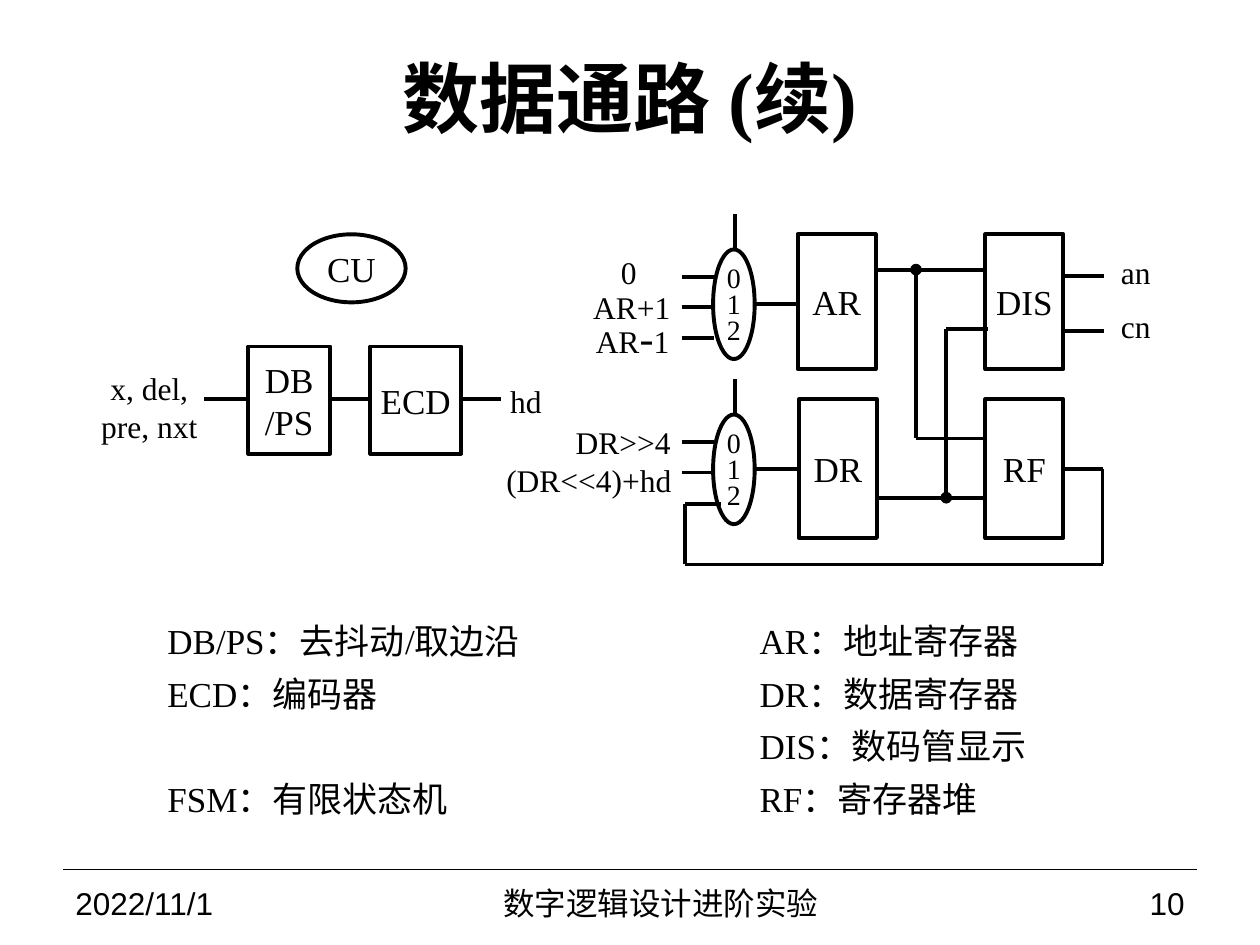
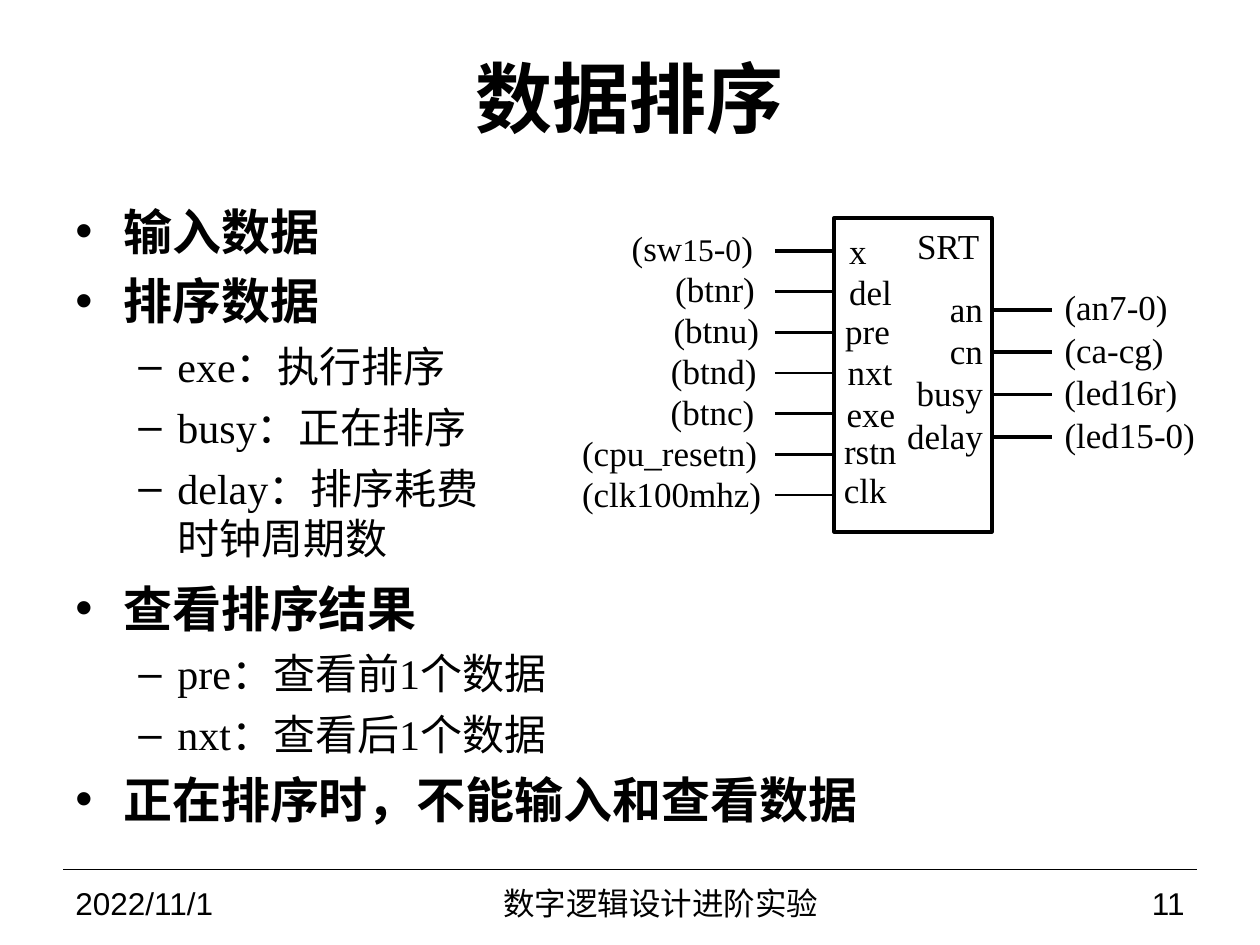
from itertools import pairwise

from lxml.etree import SubElement
from pptx import Presentation
from pptx.dml.color import RGBColor
from pptx.enum.shapes import MSO_CONNECTOR, MSO_SHAPE
from pptx.enum.text import MSO_ANCHOR, MSO_AUTO_SIZE, PP_ALIGN
from pptx.oxml.ns import qn
from pptx.util import Cm, Pt

INK, PAPER = "000000", "FFFFFF"
SERIF, SANS = "Times New Roman", "Arial"
LEFT, MID, RIGHT = PP_ALIGN.LEFT, PP_ALIGN.CENTER, PP_ALIGN.RIGHT
RECT, OVAL = MSO_SHAPE.RECTANGLE, MSO_SHAPE.OVAL
THICK, THIN = 2.25, 1.5

# Formats of the kinds of text
GROW = MSO_AUTO_SIZE.SHAPE_TO_FIT_TEXT
FIT = {"word_wrap": False, "auto_size": GROW}
FLOW = {"word_wrap": True, "auto_size": GROW}
FIXED = {"word_wrap": True}
CENTRED = {"word_wrap": True, "vertical_anchor": MSO_ANCHOR.MIDDLE}
BARE = CENTRED | dict.fromkeys(
    ("margin_left", "margin_right", "margin_top", "margin_bottom"), 0)
SPACED = {"space_after": Pt(6)}

# Bullet levels: sign, left margin, hanging indent, size, bold
LEVELS = [("•", 0.38, 0.38, 28, True), ("–", 0.81, 0.31, 24, False)]


def span(*sizes):
    """Turn inches into lengths."""
    return [Cm(size * 2.54) for size in sizes]


def paint(code):
    return RGBColor.from_string(code)


def apply(target, values):
    for name, value in values.items():
        setattr(target, name, value)


def write(par, runs, size, font=SERIF, bold=False):
    """Fill a paragraph from a string or from (text, size) pairs."""
    if isinstance(runs, str):
        runs = [(runs, size)]
    for words, points in runs:
        run = par.add_run()
        run.text = words
        apply(run.font, {"name": font, "size": Pt(points), "bold": bold})
        run.font.color.rgb = paint(INK)


def lines(frame, rows, size, align=LEFT, par=None, **style):
    for i, row in enumerate(rows):
        item = frame.paragraphs[0] if i == 0 else frame.add_paragraph()
        apply(item, {"alignment": align} | (par or {}))
        write(item, row, size, **style)


def label(slide, place, rows, size=18, frame=FIXED, **style):
    box = slide.shapes.add_textbox(*span(*place))
    apply(box.text_frame, frame)
    lines(box.text_frame, rows, size, **style)
    return box.text_frame


def block(slide, place, rows=(), kind=RECT, fill=None, align=MID,
          anchor=MSO_ANCHOR.MIDDLE):
    """An outlined part of the circuit."""
    shape = slide.shapes.add_shape(kind, *span(*place))
    shape.shadow.inherit = False
    if fill:
        shape.fill.solid()
        shape.fill.fore_color.rgb = paint(fill)
    else:
        shape.fill.background()
    shape.line.color.rgb = paint(INK)
    shape.line.width = Pt(THICK)
    apply(shape.text_frame, {"word_wrap": False, "vertical_anchor": anchor})
    lines(shape.text_frame, rows, 20, align)


def wire(slide, *points, width=THICK, dot=False):
    """Join points with straight lines; a dot may mark the first point."""
    for start, end in pairwise(points):
        line = slide.shapes.add_connector(
            MSO_CONNECTOR.STRAIGHT, *span(*start, *end))
        line.line.color.rgb = paint(INK)
        line.line.width = Pt(width)
        props = line._element.spPr
        SubElement(props, qn("a:effectLst"))
        if dot:
            SubElement(props.find(qn("a:ln")), qn("a:headEnd"), type="oval")
            dot = False


def mux(slide, top, count, end):
    """A selector with a stub on top, inputs at left and one output."""
    block(slide, (5.66, top, 0.33, 0.87), kind=OVAL, fill=PAPER)
    label(slide, (5.72, top + 0.21, 0.21, 0.49), "012", 16, BARE,
          align=MID, par={"line_spacing": Pt(15)})
    wire(slide, (5.83, top), (5.83, top - 0.28))
    for i in range(count):
        y = top + 0.22 + 0.24 * i
        wire(slide, (5.41, y), (5.67, y))
    wire(slide, (5.99, top + 0.43), (end, top + 0.43))


def bullets(slide, place, rows):
    frame = label(slide, place, [])
    for i, (level, words) in enumerate(rows):
        sign, left, hang, size, bold = LEVELS[level]
        par = frame.paragraphs[0] if i == 0 else frame.add_paragraph()
        apply(par, SPACED | {"level": level})
        props = par._p.get_or_add_pPr()
        left, hang = span(left, hang)
        props.set("marL", str(left))
        props.set("indent", str(-hang))
        SubElement(props, qn("a:buFont"), typeface=SANS)
        SubElement(props, qn("a:buChar"), char=sign)
        write(par, words, size, bold=bold)


def page(deck, title, number):
    """A slide with the shared title, rule and footer."""
    slide = deck.slides.add_slide(deck.slide_layouts[6])
    wire(slide, (0.5, 6.9), (9.5, 6.9), width=0.75)
    label(slide, (0.5, 0.3, 9, 0.93), [title], 44, CENTRED,
          align=MID, bold=True)
    for left, width, words, align in [
            (0.5, 2.33, "2022/11/1", LEFT),
            (2.83, 4.83, "数字逻辑设计进阶实验", MID),
            (7.75, 1.75, str(number), RIGHT)]:
        label(slide, (left, 6.98, width, 0.37), [words], 18, CENTRED,
              align=align, font=SANS)
    return slide


def paths(deck):
    slide = page(deck, "数据通路 (续)", 10)

    # Input chain and control unit
    block(slide, (2.36, 1.86, 0.86, 0.54), ["CU"], OVAL)
    block(slide, (1.97, 2.75, 0.65, 0.85), ["DB", "/PS"])
    block(slide, (2.94, 2.75, 0.72, 0.85), ["ECD"])
    for start, end in [(1.62, 1.97), (2.63, 2.94), (3.66, 3.98)]:
        wire(slide, (start, 3.17), (end, 3.17))
    label(slide, (0.68, 2.88, 1.01, 0.54), ["x, del, pre, nxt"],
          frame=FLOW, align=MID)

    # Registers, display and selectors
    for left, top, high, name in [
            (6.33, 1.86, 1.07, "AR"), (7.82, 1.86, 1.07, "DIS"),
            (6.34, 3.17, 1.1, "DR"), (7.82, 3.17, 1.1, "RF")]:
        block(slide, (left, top, 0.62, high), [name])
    mux(slide, 1.98, 3, 6.33)
    mux(slide, 3.29, 2, 6.34)

    # Wires between the parts
    for y in (2.14, 3.95):
        wire(slide, (6.97, y), (7.82, y))
    for y in (2.19, 2.63):
        wire(slide, (8.44, y), (8.76, y))
    wire(slide, (7.27, 2.14), (7.27, 3.48), (7.82, 3.48), dot=True)
    wire(slide, (7.51, 3.95), (7.51, 2.61), (7.84, 2.61), dot=True)
    wire(slide, (8.43, 3.72), (8.75, 3.72), (8.75, 4.48), (5.44, 4.48),
         (5.44, 4), (5.72, 4))

    # Signal names
    for left, top, width, words in [
            (4.83, 1.96, 0.33, "0"), (4.61, 2.24, 0.84, "AR+1"),
            (4.63, 2.42, 0.79, [("AR", 18), ("-", 24), ("1", 18)]),
            (4.47, 3.31, 0.96, "DR>>4"), (3.92, 3.61, 1.53, "(DR<<4)+hd"),
            (3.95, 2.98, 0.45, "hd")]:
        label(slide, (left, top, width, 0.4), [words], frame=FIT)
    for top, words in [(2.01, "an"), (2.44, "cn")]:
        label(slide, (8.7, top, 0.53, 0.36), [words], align=RIGHT,
              par={"line_spacing": Pt(18)})

    # Legends
    legend = label(slide, (1.23, 4.87, 3.12, 1.55),
                   ["DB/PS：去抖动/取边沿", "ECD：编码器", "FSM：有限状态机"],
                   20, par=SPACED)
    legend.paragraphs[2].space_before = Pt(30)
    label(slide, (5.93, 4.87, 2.62, 1.79),
          ["AR：地址寄存器", "DR：数据寄存器", "DIS：数码管显示", "RF：寄存器堆"],
          20, par=SPACED)


def sorter(deck):
    slide = page(deck, "数据排序", 11)
    bullets(slide, (0.5, 1.55, 3.66, 3.31), [
        (0, "输入数据"), (0, "排序数据"), (1, "exe：执行排序"),
        (1, "busy：正在排序"), (1, "delay：排序耗费时钟周期数")])
    bullets(slide, (0.5, 4.54, 6.78, 2.38), [
        (0, "查看排序结果"), (1, "pre：查看前1个数据"),
        (1, "nxt：查看后1个数据"), (0, "正在排序时，不能输入和查看数据")])

    block(slide, (6.62, 1.73, 1.25, 2.49), ["SRT"], align=RIGHT,
          anchor=MSO_ANCHOR.TOP)
    tall = {"line_spacing": Pt(29)}

    # Inputs: outer name, its left and width; inner name, its place
    switch = [("(sw", 20), ("15", 18), ("-", 20), ("0", 18), (")", 20)]
    pins = [(switch, 4.86, 1.27, "x", 6.64, 1.7, 0.34),
            ("(btnr)", 5.23, 0.89, "del", 6.64, 2.03, 0.54),
            ("(btnu)", 5.24, 0.89, "pre", 6.61, 2.34, 0.56),
            ("(btnd)", 5.21, 0.91, "nxt", 6.63, 2.66, 0.56),
            ("(btnc)", 5.2, 0.91, "exe", 6.62, 3, 0.59),
            ("(cpu_resetn)", 4.52, 1.59, "rstn", 6.6, 3.29, 0.62),
            ("(clk100mhz)", 4.49, 1.68, "clk", 6.6, 3.6, 0.54)]
    for i, (outer, left, width, inner, x, top, wide) in enumerate(pins):
        y = 1.99 + 1.94 / 6 * i
        wire(slide, (6.15, y), (6.62, y), width=THIN if i else THICK)
        label(slide, (left, 1.75 + 0.325 * i, width, 0.44), [outer], 20,
              FLOW, align=MID)
        label(slide, (x, top, wide, 0.47), [inner], 20, FIT, par=tall)

    # Outputs: inner name and width; outer name and width; line width
    ports = [("an", 0.47, "(an7-0)", 1.02, THICK),
             ("cn", 0.47, "(ca-cg)", 0.99, THICK),
             ("busy", 0.73, "(led16r)", 1.2, THIN),
             ("delay", 0.81, "(led15-0)", 1.25, THICK)]
    for i, (inner, wide, outer, width, weight) in enumerate(ports):
        y = 2.46 + 1.01 / 3 * i
        wire(slide, (7.87, y), (8.35, y), width=weight)
        label(slide, (7.9 - wide, y - 0.3, wide, 0.47), [inner], 20, FIT,
              align=RIGHT, par=tall)
        label(slide, (8.35, y - 0.24, width, 0.44), [outer], 20, FLOW)


def main():
    deck = Presentation()
    deck.slide_width, deck.slide_height = span(10, 7.5)
    paths(deck)
    sorter(deck)
    deck.save("out.pptx")


main()
